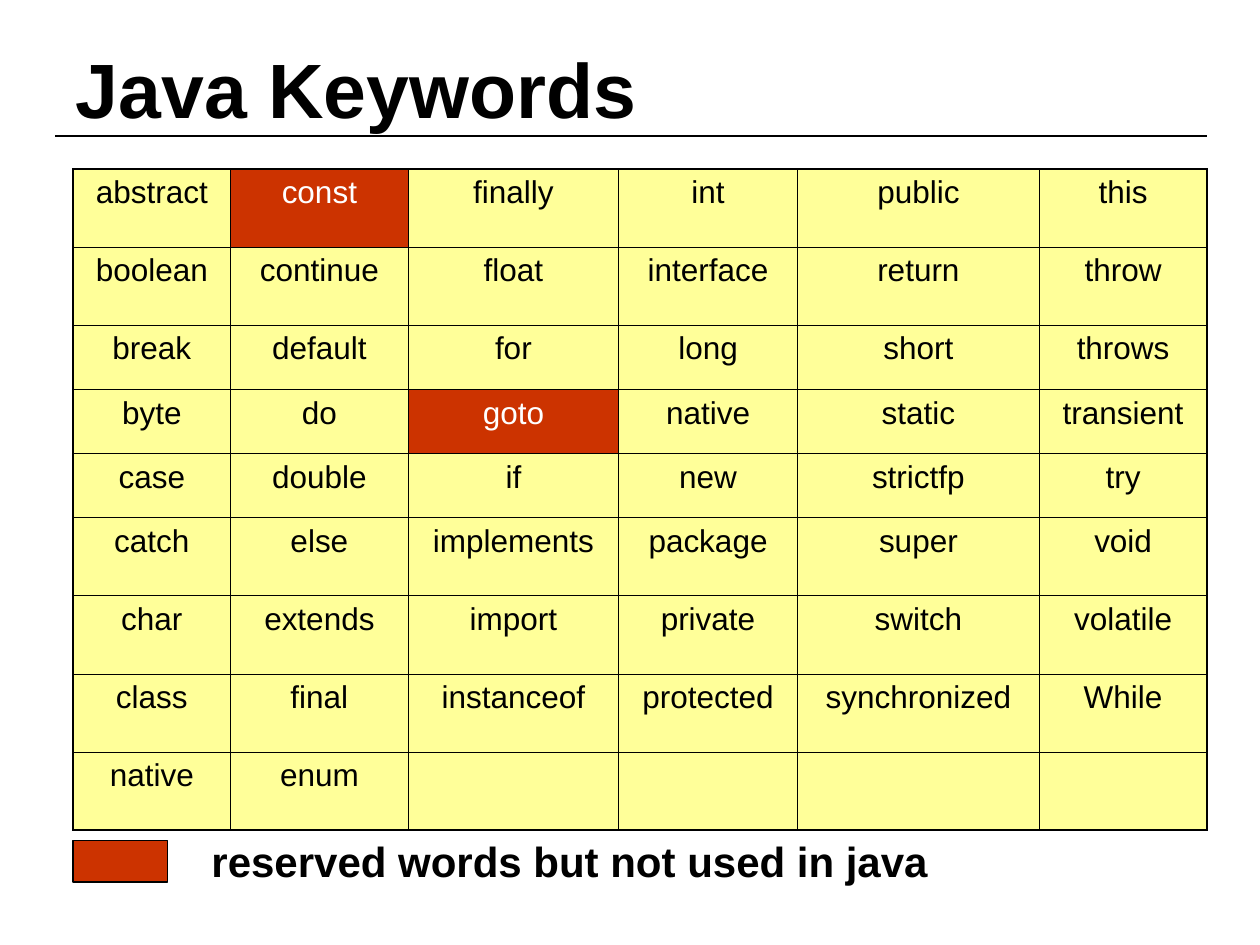
from lxml.etree import SubElement
from pptx import Presentation
from pptx.dml.color import RGBColor
from pptx.enum.shapes import MSO_CONNECTOR, MSO_SHAPE
from pptx.enum.text import MSO_ANCHOR, PP_ALIGN
from pptx.oxml.ns import qn
from pptx.util import Inches, Pt

BLACK = RGBColor(0x00, 0x00, 0x00)
WHITE = RGBColor(0xFF, 0xFF, 0xFF)
YELLOW = RGBColor(0xFF, 0xFF, 0x99)
RED = RGBColor(0xCC, 0x33, 0x00)
LEFT, RIGHT = 0.58, 9.58
TABLE_TOP = 1.34
COLUMN_WIDTHS = [1.25, 1.41, 1.67, 1.42, 1.92, 1.33]
ROW_HEIGHTS = [0.62] * 2 + [0.51] * 3 + [0.62] * 4
INNER_BORDER, OUTER_BORDER = 0.45, 1.08
UNUSED = {"const", "goto"}
KEYWORDS = [
    ["abstract", "const", "finally", "int", "public", "this"],
    ["boolean", "continue", "float", "interface", "return", "throw"],
    ["break", "default", "for", "long", "short", "throws"],
    ["byte", "do", "goto", "native", "static", "transient"],
    ["case", "double", "if", "new", "strictfp", "try"],
    ["catch", "else", "implements", "package", "super", "void"],
    ["char", "extends", "import", "private", "switch", "volatile"],
    ["class", "final", "instanceof", "protected", "synchronized", "While"],
    ["native", "enum", "", "", "", ""],
]


def set_font(p, size, color=BLACK, bold=False):
    """Format a whole paragraph in Arial."""
    p.font.name = "Arial"
    p.font.size = Pt(size)
    p.font.bold = bold
    p.font.color.rgb = color


def add_title(s, text):
    """Fill and place the title placeholder."""
    sp = s.shapes.title
    sp.left, sp.top, sp.width, sp.height = map(Inches, (0.5, 0.3, 9, 0.79))
    tf = sp.text_frame
    tf.text = text
    tf.vertical_anchor = MSO_ANCHOR.MIDDLE
    tf.paragraphs[0].alignment = PP_ALIGN.LEFT
    set_font(tf.paragraphs[0], 44, bold=True)


def add_rule(s, y):
    """Draw the thin line below the title."""
    line = s.shapes.add_connector(
        MSO_CONNECTOR.STRAIGHT, Inches(0.44), Inches(y), Inches(RIGHT), Inches(y))
    line.line.color.rgb = BLACK
    line.line.width = Pt(0.75)
    SubElement(line._element.spPr, qn("a:effectLst"))


def set_borders(cell, outer_sides):
    """Give a cell black borders, heavier on the table's outer sides."""
    tc_pr = cell._tc.get_or_add_tcPr()
    for side in "LRTB":
        width = OUTER_BORDER if side in outer_sides else INNER_BORDER
        ln = SubElement(tc_pr, qn(f"a:ln{side}"), w=str(Pt(width)))
        fill = SubElement(ln, qn("a:solidFill"))
        SubElement(fill, qn("a:srgbClr"), val=str(BLACK))


def fill_cell(cell, word, outer_sides):
    """Write one keyword and colour its cell."""
    unused = word in UNUSED
    set_borders(cell, outer_sides)
    cell.fill.solid()
    cell.fill.fore_color.rgb = RED if unused else YELLOW
    cell.text = word
    p = cell.text_frame.paragraphs[0]
    p.alignment = PP_ALIGN.CENTER
    set_font(p, 18, WHITE if unused else BLACK)


def add_keyword_table(s):
    """Add the grid of keywords."""
    rows, cols = len(ROW_HEIGHTS), len(COLUMN_WIDTHS)
    table = s.shapes.add_table(
        rows, cols, Inches(LEFT), Inches(TABLE_TOP),
        Inches(sum(COLUMN_WIDTHS)), Inches(sum(ROW_HEIGHTS))).table
    table.first_row = table.horz_banding = False
    for column, width in zip(table.columns, COLUMN_WIDTHS):
        column.width = Inches(width)
    for r, (height, words) in enumerate(zip(ROW_HEIGHTS, KEYWORDS)):
        table.rows[r].height = Inches(height)
        for c, word in enumerate(words):
            edges = {"L": c == 0, "R": c == cols - 1, "T": r == 0, "B": r == rows - 1}
            fill_cell(table.cell(r, c), word, [k for k, on in edges.items() if on])


def add_legend(s, text):
    """Add the colour swatch and its explanation."""
    tf = s.shapes.add_textbox(
        Inches(1.58), Inches(6.58), Inches(6), Inches(0.5)).text_frame
    tf.word_wrap = True
    tf.text = text
    set_font(tf.paragraphs[0], 24, bold=True)
    sp = s.shapes.add_shape(
        MSO_SHAPE.RECTANGLE, Inches(LEFT), Inches(6.67), Inches(0.75), Inches(0.33))
    sp.shadow.inherit = False
    sp.fill.solid()
    sp.fill.fore_color.rgb = RED
    sp.line.color.rgb = BLACK
    sp.line.width = Pt(0.75)


def main():
    """Build the slide and save it."""
    prs = Presentation()
    prs.slide_width, prs.slide_height = Inches(10), Inches(7.5)
    s = prs.slides.add_slide(prs.slide_layouts[5])
    add_rule(s, 1.08)
    add_title(s, "Java Keywords")
    add_keyword_table(s)
    add_legend(s, "reserved words but not used in java")
    prs.save("out.pptx")


if __name__ == "__main__":
    main()
